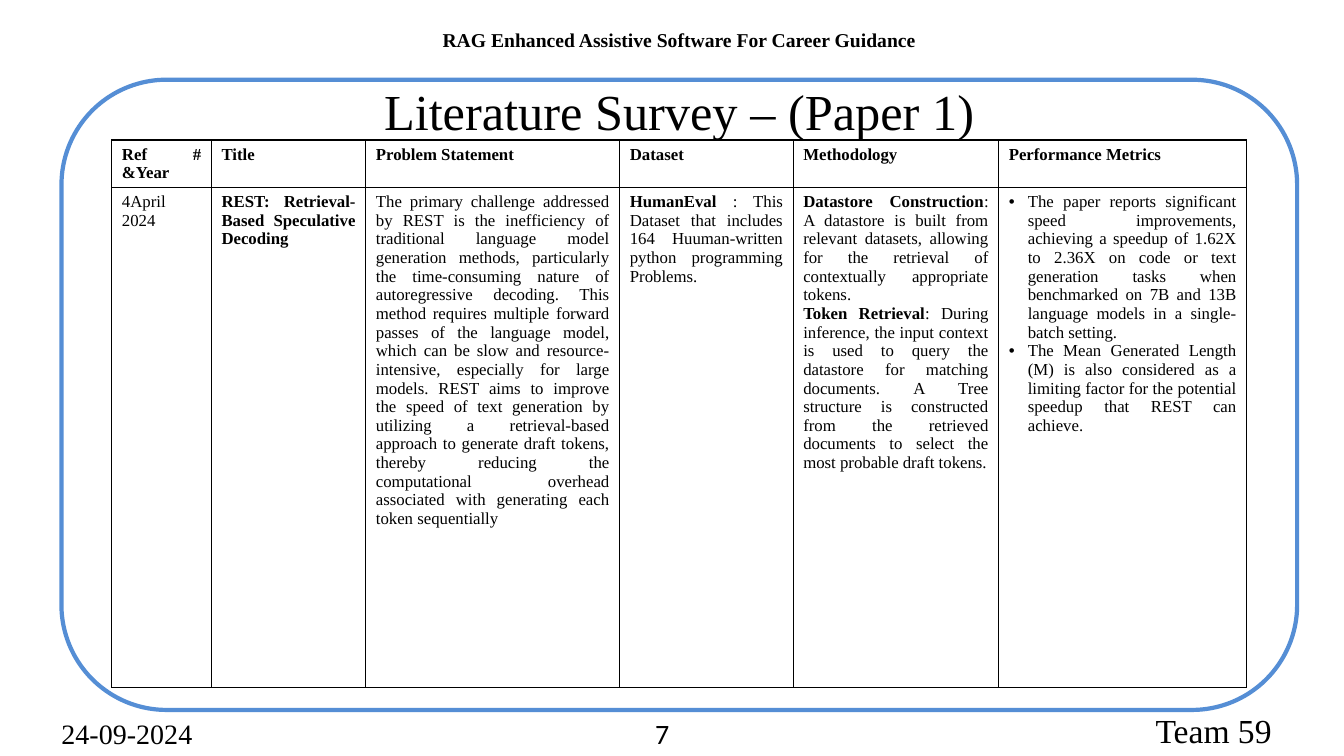
from dataclasses import dataclass
from lxml.etree import SubElement as Sub
from pptx import Presentation
from pptx.dml.color import RGBColor as RGB
from pptx.enum.shapes import MSO_SHAPE as Shape
from pptx.enum.text import MSO_ANCHOR as Anchor, MSO_AUTO_SIZE as Auto, PP_ALIGN as Align
from pptx.oxml import parse_xml
from pptx.oxml.ns import nsdecls, qn
from pptx.util import Cm, Pt

# Each paragraph is a list of (text, bold) runs.
TITLE = [("Literature Survey – (Paper 1)", False)]
HEADER = [("RAG Enhanced Assistive Software For Career Guidance", True)]
DATE = [("24-09-2024", False)]
PAGE = [("7", False)]
TEAM = [("Team 59", False)]

HEADS = ["Ref # &Year", "Title", "Problem Statement", "Dataset",
         "Methodology", "Performance Metrics"]
PAPER = [
    [[("4April 2024", False)]],
    [[("REST: Retrieval-Based Speculative Decoding", True)]],
    [[("The primary challenge addressed by REST is the inefficiency of "
       "traditional language model generation methods, particularly the "
       "time-consuming nature of autoregressive decoding. This method requires "
       "multiple forward passes of the language model, which can be slow and "
       "resource-intensive, especially for large models. REST aims to improve "
       "the speed of text generation by utilizing a retrieval-based approach to "
       "generate draft tokens, thereby reducing the computational overhead "
       "associated with generating each token sequentially", False)]],
    [[("HumanEval", True),
      (" : This Dataset that includes 164 Huuman-written python programming "
       "Problems.", False)]],
    [[("Datastore Construction", True),
      (": A datastore is built from relevant datasets, allowing for the "
       "retrieval of contextually appropriate tokens.", False)],
     [("Token Retrieval", True),
      (": During inference, the input context is used to query the datastore "
       "for matching documents. A Tree structure is constructed from the "
       "retrieved documents to select the most probable draft tokens.", False)]],
    [[("The paper reports significant speed improvements, achieving a speedup "
       "of 1.62X to 2.36X on code or text generation tasks when benchmarked on "
       "7B and 13B language models in a single-batch setting.", False)],
     [("The Mean Generated Length (M) is also considered as a limiting factor "
       "for the potential speedup that REST can achieve.", False)]],
]
ROWS = [[[[(head, True)]] for head in HEADS], PAPER]
COLS = [2.51, 3.89, 6.4, 4.37, 5.18, 6.25]
HIGHS = [1.19, 12.6]


@dataclass(frozen=True)
class Theme:
    ink: str = "000000"
    frame: str = "558ED5"
    serif: str = "Times New Roman"
    sans: str = "Calibri"
    title: int = 36
    team: int = 24
    foot: int = 20
    header: int = 14
    cell: int = 12


LOOK = Theme()


def box(*nums):
    return [Cm(n) for n in nums]


def write(para, runs, size, align, font=LOOK.serif):
    para.alignment = align
    for text, bold in runs:
        run = para.add_run()
        run.text = text
        run.font.name, run.font.size, run.font.bold = font, Pt(size), bold
        run.font.color.rgb = RGB.from_string(LOOK.ink)


def label(slide, area, runs, size, align, anchor=Anchor.MIDDLE, font=LOOK.serif):
    frame = slide.shapes.add_textbox(*box(*area)).text_frame
    frame.word_wrap, frame.vertical_anchor = True, anchor
    para = frame.paragraphs[0]
    write(para, runs, size, align, font)
    return para


def indent(para, left, first=0):
    props = para._p.get_or_add_pPr()
    props.set("marL", str(Cm(left)))
    props.set("indent", str(Cm(first)))
    return props


def border(cell):
    props = cell._tc.get_or_add_tcPr()
    for spot, side in enumerate("LRTB"):
        props.insert(spot, parse_xml(
            f'<a:ln{side} {nsdecls("a")} w="{Pt(1)}"><a:solidFill>'
            f'<a:srgbClr val="{LOOK.ink}"/></a:solidFill></a:ln{side}>'))


def fill(cell, paras, bullets):
    cell.fill.background()
    border(cell)
    frame = cell.text_frame
    for num, runs in enumerate(paras):
        para = frame.add_paragraph() if num else frame.paragraphs[0]
        write(para, runs, LOOK.cell, Align.JUSTIFY)
        if bullets:
            props = indent(para, 0.48, -0.48)
            Sub(props, qn("a:buFont"), typeface="Arial")
            Sub(props, qn("a:buChar"), char="•")


def survey(slide):
    table = slide.shapes.add_table(
        len(ROWS), len(COLS), *box(2.82, 3.53, sum(COLS), sum(HIGHS))).table
    table.first_row = table.horz_banding = False
    for col, width in zip(table.columns, COLS):
        col.width = Cm(width)
    for r, (row, high) in enumerate(zip(ROWS, HIGHS)):
        table.rows[r].height = Cm(high)
        for c, paras in enumerate(row):
            fill(table.cell(r, c), paras, bullets=len(paras) > 1 and c == len(COLS) - 1)


def main():
    deck = Presentation()
    deck.slide_width, deck.slide_height = box(33.87, 19.05)
    slide = deck.slides.add_slide(deck.slide_layouts[5])

    outline = slide.shapes.add_shape(Shape.ROUNDED_RECTANGLE, *box(1.55, 2.01, 31.14, 15.88))
    outline.shadow.inherit = False
    outline.fill.background()
    outline.line.color.rgb = RGB.from_string(LOOK.frame)
    outline.line.width = Pt(3)

    title = slide.shapes.title
    title.left, title.top, title.width, title.height = box(3.71, 2.13, 26.82, 1.52)
    frame = title.text_frame
    frame.auto_size, frame.vertical_anchor = Auto.NONE, Anchor.BOTTOM
    frame.paragraphs[0].line_spacing = 0.8
    write(frame.paragraphs[0], TITLE, LOOK.title, Align.CENTER)

    survey(slide)
    top = label(slide, (6.25, 0.48, 21.74, 1.52), HEADER, LOOK.header, Align.CENTER, Anchor.TOP)
    top.line_spacing = 1.15
    label(slide, (1.3, 17.96, 7.62, 1.02), DATE, LOOK.foot, Align.LEFT)
    label(slide, (9.5, 17.96, 7.62, 1.02), PAGE, LOOK.foot, Align.RIGHT, font=LOOK.sans)
    team = label(slide, (26.85, 17.88, 6.2, 1.02), TEAM, LOOK.team, Align.CENTER)
    indent(team, 1.27)
    deck.save("out.pptx")


if __name__ == "__main__":
    main()
